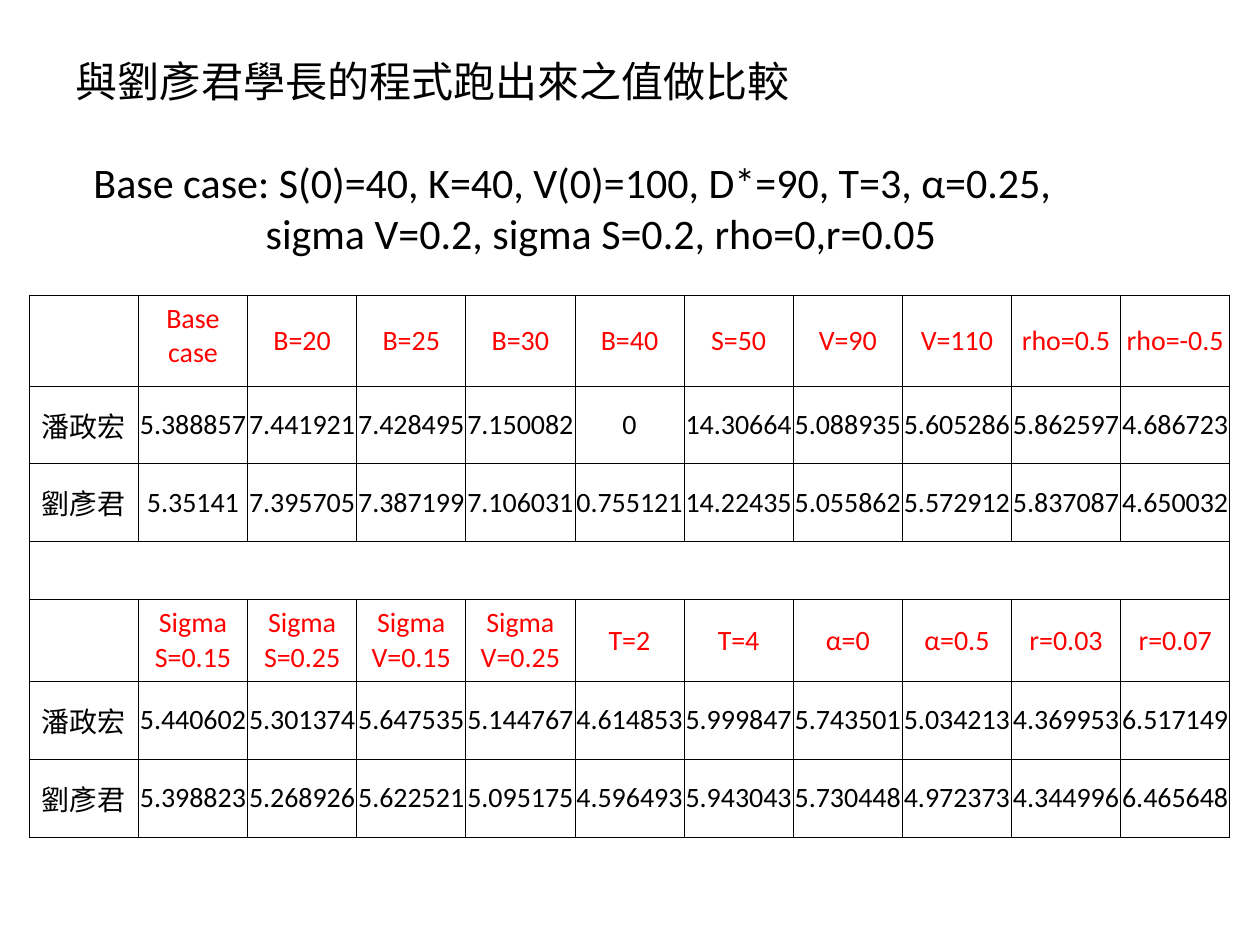
from lxml import etree
from pptx import Presentation
from pptx.dml.color import RGBColor
from pptx.enum.text import MSO_ANCHOR, MSO_AUTO_SIZE, PP_ALIGN
from pptx.oxml.ns import qn
from pptx.util import Cm, Pt

MID, TOP = MSO_ANCHOR.MIDDLE, MSO_ANCHOR.TOP
LEFT, MIDST = PP_ALIGN.LEFT, PP_ALIGN.CENTER
FIXED = MSO_AUTO_SIZE.NONE
HUES = {"ink": "000000", "head": "FF0000"}
FONT = "Calibri"

TITLE = [
    ("與劉彥君學長的程式跑出來之值做比較", 0, 0),
    ("Base case: S(0)=40, K=40, V(0)=100, D*=90, T=3, α=0.25,", 0.36, 29),
    ("sigma V=0.2, sigma S=0.2, rho=0,r=0.05", 3.83, 0),
]
ROWS = [
    ["", "Base case", "B=20", "B=25", "B=30", "B=40", "S=50", "V=90", "V=110",
     "rho=0.5", "rho=-0.5"],
    ["潘政宏", "5.388857", "7.441921", "7.428495", "7.150082", "0", "14.30664",
     "5.088935", "5.605286", "5.862597", "4.686723"],
    ["劉彥君", "5.35141", "7.395705", "7.387199", "7.106031", "0.755121", "14.22435",
     "5.055862", "5.572912", "5.837087", "4.650032"],
    [""] * 11,
    ["", "Sigma S=0.15", "Sigma S=0.25", "Sigma V=0.15", "Sigma V=0.25", "T=2", "T=4",
     "α=0", "α=0.5", "r=0.03", "r=0.07"],
    ["潘政宏", "5.440602", "5.301374", "5.647535", "5.144767", "4.614853", "5.999847",
     "5.743501", "5.034213", "4.369953", "6.517149"],
    ["劉彥君", "5.398823", "5.268926", "5.622521", "5.095175", "4.596493", "5.943043",
     "5.730448", "4.972373", "4.344996", "6.465648"],
]
HEADS = (0, 4)
GAP = 3
TALL = [1.83, 1.57, 1.57, 1.17, 1.57, 1.57, 1.57]


class Page:
    def __init__(self, deck):
        self.slide = deck.slides.add_slide(deck.slide_layouts[5])

    def run(self, para, text, size, hue):
        font_run = para.add_run()
        font_run.text = text
        font = font_run.font
        font.name, font.size = FONT, Pt(size)
        font.color.rgb = RGBColor.from_string(HUES[hue])

    def title(self, lines, left, top, width, height):
        box = self.slide.shapes.title
        box.left, box.top, box.width, box.height = map(Cm, (left, top, width, height))
        frame = box.text_frame
        frame.auto_size, frame.word_wrap = FIXED, True
        frame.vertical_anchor = MID
        for i, (text, shift, space) in enumerate(lines):
            para = frame.add_paragraph() if i else frame.paragraphs[0]
            para.alignment, para.space_before = LEFT, Pt(space)
            props = para._p.get_or_add_pPr()
            props.set("marL", str(Cm(shift)))
            props.set("indent", "0")
            self.run(para, text, 24, "ink")

    def border(self, cell):
        props = cell._tc.get_or_add_tcPr()
        for side in ("lnL", "lnR", "lnT", "lnB"):
            line = etree.SubElement(props, qn("a:" + side), w=str(Pt(0.45)))
            fill = etree.SubElement(line, qn("a:solidFill"))
            etree.SubElement(fill, qn("a:srgbClr"), val=HUES["ink"])

    def cell(self, cell, text, hue, wide):
        self.border(cell)
        cell.fill.background()
        cell.margin_left = cell.margin_right = Cm(0.25 if wide else 0.02)
        cell.margin_top = cell.margin_bottom = Cm(0.13)
        cell.vertical_anchor = TOP if wide else MID
        if text:
            para = cell.text_frame.paragraphs[0]
            para.alignment = MIDST
            self.run(para, text, 16, hue)

    def table(self, rows, left, top, step):
        count = len(rows[0])
        frame = self.slide.shapes.add_table(
            len(rows), count, Cm(left), Cm(top), Cm(step * count), Cm(sum(TALL)))
        grid = frame.table
        grid.first_row = grid.horz_banding = False
        for col in grid.columns:
            col.width = Cm(step)
        for r, (row, tall) in enumerate(zip(rows, TALL)):
            grid.rows[r].height = Cm(tall)
            hue = "head" if r in HEADS else "ink"
            for c, text in enumerate(row):
                self.cell(grid.cell(r, c), text, hue, (r, c) == (0, 1))
        grid.cell(GAP, 0).merge(grid.cell(GAP, count - 1))


def main():
    deck = Presentation()
    deck.slide_width, deck.slide_height = Cm(25.4), Cm(19.05)
    page = Page(deck)
    page.title(TITLE, 1.27, 0.76, 22.86, 4.8)
    page.table(ROWS, 0.59, 5.95, 2.2)
    deck.save("out.pptx")


if __name__ == "__main__":
    main()
